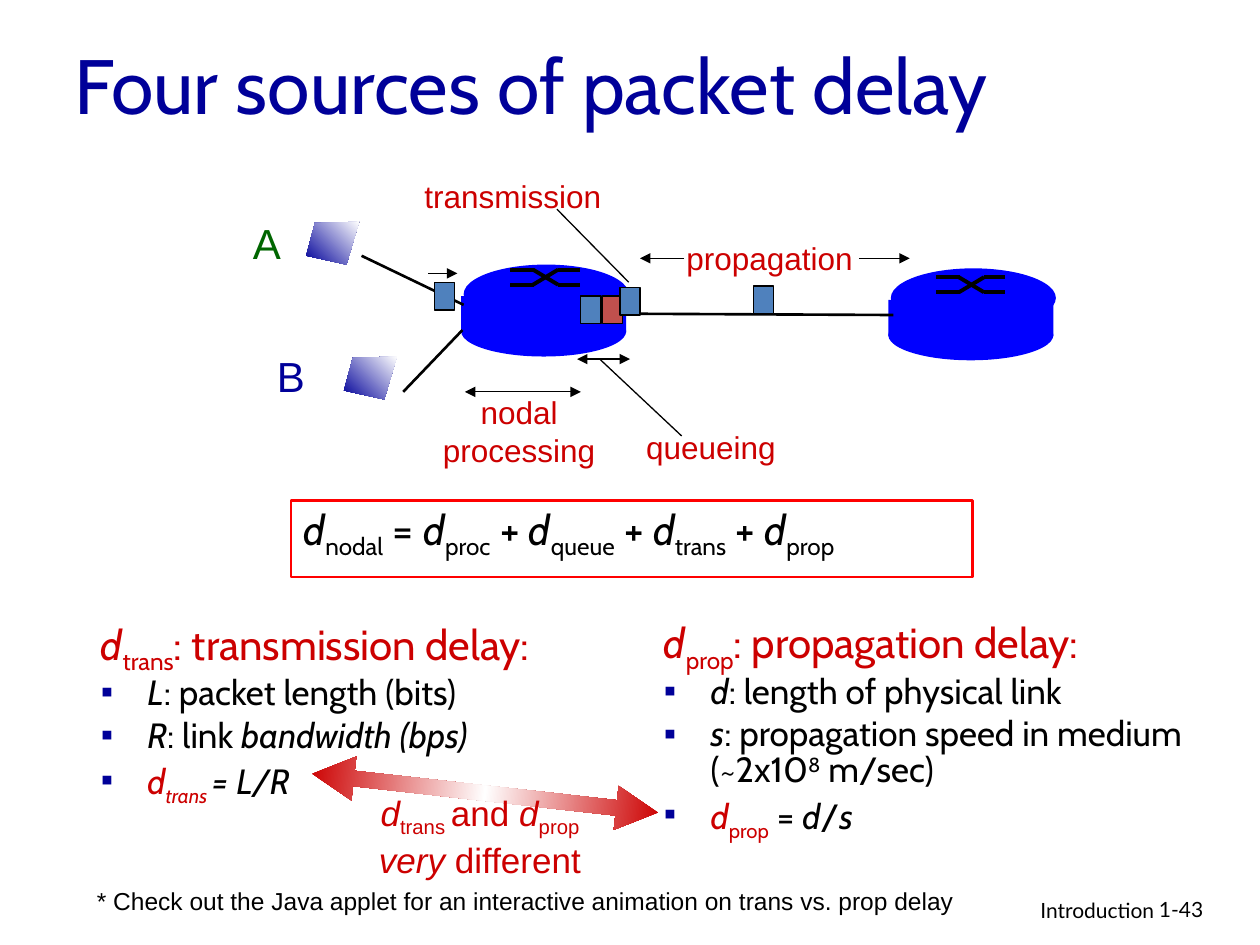
import copy
from pptx import Presentation
from pptx import util as u
from pptx.dml.color import RGBColor
from pptx.enum import shapes, text
from pptx.oxml import parse_xml
from pptx.oxml.ns import nsdecls, qn

PX = 9144  # 100 px to the inch
rgb = RGBColor.from_string
RED, BLUE, BLACK, ROUTER = "CC0000", "000099", "000000", "0000FF"
PACKET, WAITING = "4F81BD", "C0504D"
ITALIC, SUB, SUPER = "i", "_", "^"


def add_line(x1, y1, x2, y2, width=0.75, arrows=()):
    c = s.shapes.add_connector(shapes.MSO_CONNECTOR.STRAIGHT, x1 * PX, y1 * PX, x2 * PX, y2 * PX)
    c.line.color.rgb = rgb(BLACK)
    c.line.width = u.Pt(width)
    for end in arrows:
        c.line._get_or_add_ln().append(parse_xml(f'<a:{end} {nsdecls("a")} type="triangle"/>'))
    c._element.spPr.append(parse_xml(f'<a:effectLst {nsdecls("a")}/>'))


def add_runs(p, runs, size, font, color):
    """Each run is (text, style marks, optional colour)."""
    for words, marks, *own in runs:
        r = p.add_run()
        r.text = words
        r.font.size, r.font.name = u.Pt(size), font
        r.font.color.rgb = rgb(own[0] if own else color)
        r.font.italic = ITALIC in marks
        if SUB in marks or SUPER in marks:
            r.font._element.set("baseline", "-25000" if SUB in marks else "30000")


prs = Presentation()
prs.slide_width, prs.slide_height = 1000 * PX, 750 * PX
s = prs.slides.add_slide(prs.slide_layouts[3])
title, left_body, right_body = s.placeholders

# Title
title.left, title.top, title.width, title.height = [v * PX for v in (49, 22, 850, 89)]
tf = title.text_frame
tf.auto_size = text.MSO_AUTO_SIZE.NONE
tf.vertical_anchor = text.MSO_ANCHOR.MIDDLE
tf.paragraphs[0].alignment = text.PP_ALIGN.LEFT
add_runs(tf.paragraphs[0], [("Four sources of packet delay", "")], 44, "Cabin", BLUE)

# Transmission and propagation lists, each a heading and three bullets
columns = [
    (left_body, (69, 488, 416, 227), [
        [("d", "i"), ("trans", "_"), (": transmission delay:", "")],
        [("L", "i"), (": packet length (bits)", "")],
        [("R", "i"), (": link ", ""), ("bandwidth (bps)", "i")],
        [("d", "i", RED), ("trans ", "i_", RED), ("= L/R", "i")],
    ]),
    (right_body, (516, 487, 454, 239), [
        [("d", "i"), ("prop", "_"), (": propagation delay:", "")],
        [("d", "i"), (": length of physical link", "")],
        [("s", "i"), (": propagation speed in medium (~2x10", ""), ("8", "^"), (" m/sec)", "")],
        [("d", "i", RED), ("prop", "_", RED), (" = ", ""), ("d", "i"), ("/", ""), ("s", "i")],
    ]),
]
for body, box, lines in columns:
    body.left, body.top, body.width, body.height = [v * PX for v in box]
    tf = body.text_frame
    tf.auto_size = text.MSO_AUTO_SIZE.NONE
    for i, runs in enumerate(lines):
        p = tf.add_paragraph() if i else tf.paragraphs[0]
        p.line_spacing = 0.85
        p.space_before = u.Pt(4 if i else 0)
        pPr = p._p.get_or_add_pPr()
        pPr.set("marL", str(38 * PX))
        pPr.set("indent", str(-37 * PX))
        if i:
            bullet = [f'<a:buClr {nsdecls("a")}><a:srgbClr val="{BLUE}"/></a:buClr>',
                      f'<a:buFont {nsdecls("a")} typeface="Arial"/>',
                      f'<a:buChar {nsdecls("a")} char="▪"/>']
        else:
            bullet = [f'<a:buNone {nsdecls("a")}/>']
        for xml in bullet:
            pPr.append(parse_xml(xml))
        add_runs(p, runs, 20 if i else 24, "Cabin", BLACK if i else RED)

# Double arrow between the two formulas
sp = s.shapes.add_shape(shapes.MSO_SHAPE.LEFT_RIGHT_ARROW, 247 * PX, 612 * PX, 276 * PX, 35 * PX)
sp.rotation = 6.4
sp.adjustments[0], sp.adjustments[1] = 0.35, 0.95
sp.shadow.inherit = False
sp.line.fill.background()
sp.fill.gradient()
sp.fill.gradient_angle = 0
for stop in sp.fill.gradient_stops:
    stop.color.rgb = rgb(RED)
first = sp._element.spPr.find(".//" + qn("a:gs"))
middle = copy.deepcopy(first)
middle.set("pos", "50000")
middle[0].set("val", "FFFFFF")
first.addnext(middle)

# Routers: two ellipses and a band, with a crossed switch on top
for x, y, cross_x, cross_y in [(366, 210, 405, 214), (705, 213, 743, 220)]:
    for kind, dx, dy, h in [(shapes.MSO_SHAPE.OVAL, 0, 33, 40),
                            (shapes.MSO_SHAPE.RECTANGLE, 0, 25, 29),
                            (shapes.MSO_SHAPE.OVAL, 2, 0, 47)]:
        sp = s.shapes.add_shape(kind, (x + dx) * PX, (y + dy) * PX, 131 * PX, h * PX)
        sp.shadow.inherit = False
        sp.fill.solid()
        sp.fill.fore_color.rgb = rgb(ROUTER)
        sp.line.fill.background()
    for top, bottom in [(0, 12), (12, 0)]:
        for x1, y1, x2, y2 in [(0, top, 19, top), (18, top, 38, bottom), (38, bottom, 55, bottom)]:
            add_line(cross_x + x1, cross_y + y1, cross_x + x2, cross_y + y2, 2.25)

# Links
for ends in [(497, 249, 709, 250), (287, 203, 368, 242), (320, 311, 367, 262)]:
    add_line(*ends, width=1.5)

# Packets
for x, y, color in [(598, 227, PACKET), (461, 235, PACKET), (478, 235, WAITING),
                    (492, 228, PACKET), (345, 224, PACKET)]:
    sp = s.shapes.add_shape(shapes.MSO_SHAPE.RECTANGLE, x * PX, y * PX, 16 * PX, 22 * PX)
    sp.shadow.inherit = False
    sp.fill.solid()
    sp.fill.fore_color.rgb = rgb(color)
    sp.line.color.rgb = rgb(BLACK)
    sp.line.width = u.Pt(0.75)

# Delay spans and leader lines
for *ends, arrows in [
    (682, 205, 722, 205, ["tailEnd"]), (543, 205, 508, 205, ["tailEnd"]),
    (340, 217, 363, 217, ["tailEnd"]),
    (461, 311, 369, 311, ["headEnd", "tailEnd"]), (500, 285, 458, 285, ["headEnd", "tailEnd"]),
    (541, 346, 476, 285, []), (442, 166, 499, 224, []),
]:
    add_line(*ends, arrows=arrows)

# Hosts A and B
for x, y in [(243, 176), (273, 283)]:
    fb = s.shapes.build_freeform((x + 42) * PX, y * PX)
    fb.add_line_segments([((x + dx) * PX, (y + dy) * PX) for dx, dy in [(7, 1), (0, 27), (32, 34)]])
    sp = fb.convert_to_shape()
    sp.shadow.inherit = False
    sp.line.fill.background()
    sp.fill.gradient()
    sp.fill.gradient_angle = 45
    for stop, color in zip(sp.fill.gradient_stops, (BLUE, "FFFFFF")):
        stop.color.rgb = rgb(color)

# Formula box
sp = s.shapes.add_shape(shapes.MSO_SHAPE.RECTANGLE, 231 * PX, 397 * PX, 541 * PX, 61 * PX)
sp.shadow.inherit = False
sp.fill.background()
sp.line.color.rgb = rgb("FF0000")
sp.line.width = u.Pt(1.5)
tf = sp.text_frame
tf.vertical_anchor = text.MSO_ANCHOR.TOP
p = tf.paragraphs[0]
p.alignment = text.PP_ALIGN.LEFT
p.line_spacing = 0.85
for sign, part in [("", "nodal"), (" = ", "proc"), (" + ", "queue"), (" + ", "trans"), (" + ", "prop")]:
    if sign:
        add_runs(p, [(sign, "")], 24, "Cabin", BLACK)
    add_runs(p, [("d", ITALIC), (part, SUB)], 24, "Cabin", BLACK)

# Labels, notes and footer; single-line boxes leave some room beside the words
L, C, R = text.PP_ALIGN.LEFT, text.PP_ALIGN.CENTER, text.PP_ALIGN.RIGHT
for box, wrap, align, size, font, color, lines in [
    ((535, 185, 160, 40), False, L, 18, "Arial", RED, [[("propagation", "")]]),
    ((337, 307, 150, 70), False, C, 18, "Arial", RED, [[("nodal", "")], [("processing", "")]]),
    ((503, 335, 132, 40), False, L, 18, "Arial", RED, [[("queueing", "")]]),
    ((327, 136, 170, 40), False, L, 18, "Arial", RED, [[("transmission", "")]]),
    ((191, 168, 50, 50), False, L, 24, "Arial", "006600", [[("A", "")]]),
    ((210, 273, 50, 50), False, L, 24, "Arial", BLUE, [[("B", "")]]),
    ((266, 623, 230, 81), True, C, 20, "Arial", RED, [
        [("d", "i"), ("trans ", "_"), ("and ", ""), ("d", "i"), ("prop", "_")],
        [("very ", "i"), ("different", "")]]),
    ((67, 698, 712, 33), False, L, 14, "Arial", BLACK, [
        [("* Check out the Java applet for an interactive animation on trans vs. prop delay", "")]]),
    ((610, 707, 316, 31), True, R, 12, "Lato", BLACK, [[("Introduction", "")]]),
    ((910, 707, 74, 30), True, L, 12, "Lato", BLACK, [[("1-43", "")]]),
]:
    tf = s.shapes.add_textbox(*[v * PX for v in box]).text_frame
    tf.word_wrap = wrap
    for i, runs in enumerate(lines):
        p = tf.add_paragraph() if i else tf.paragraphs[0]
        p.alignment = align
        add_runs(p, runs, size, font, color)

prs.save("out.pptx")
